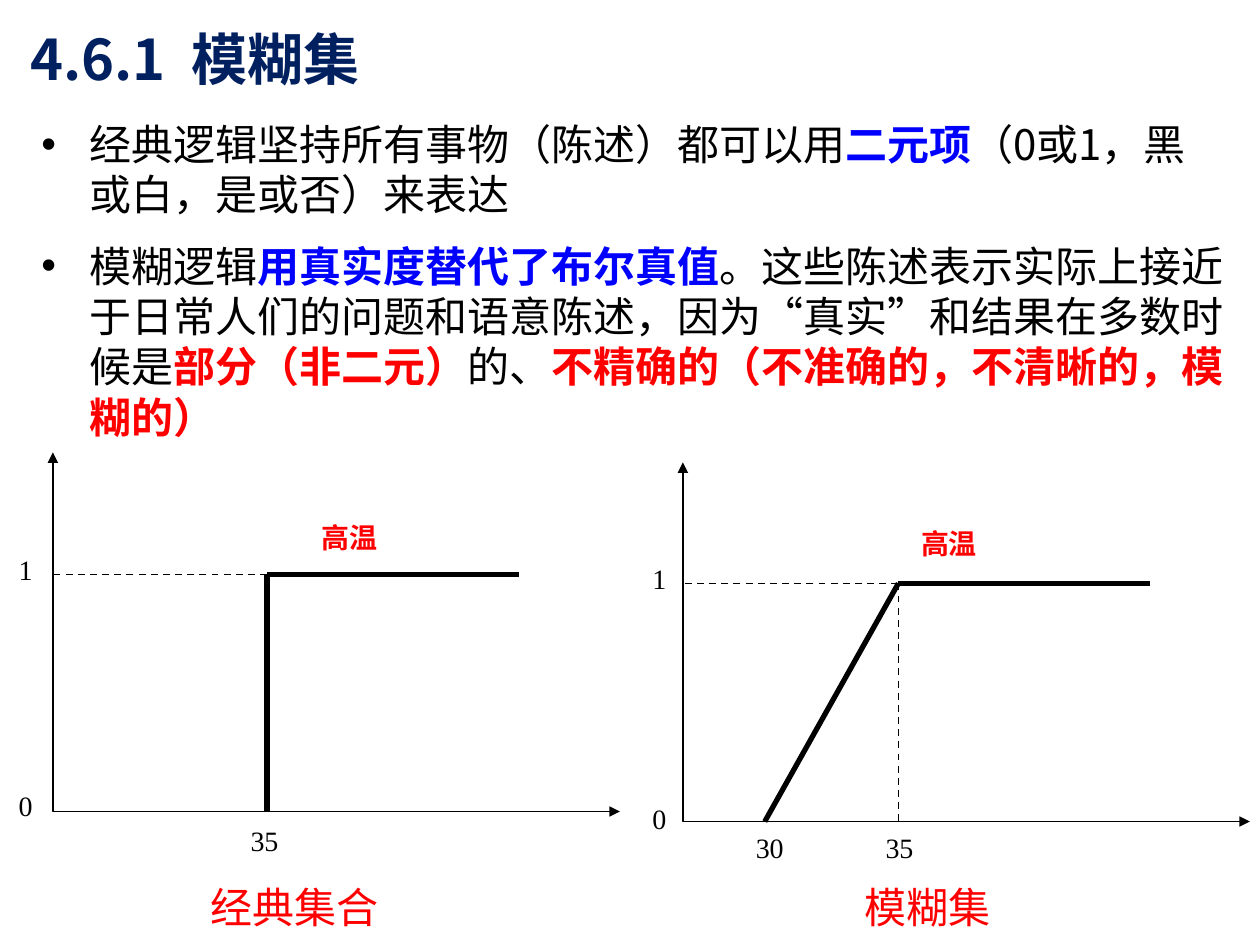
from lxml import etree
from pptx import Presentation
from pptx.dml.color import RGBColor
from pptx.enum.dml import MSO_LINE
from pptx.enum.shapes import MSO_CONNECTOR
from pptx.enum.text import MSO_ANCHOR, MSO_AUTO_SIZE
from pptx.oxml.ns import qn
from pptx.util import Inches, Pt

STRAIGHT = MSO_CONNECTOR.STRAIGHT
ELBOW = MSO_CONNECTOR.ELBOW
DASH = MSO_LINE.DASH
MIDDLE = MSO_ANCHOR.MIDDLE
TOP = MSO_ANCHOR.TOP
NONE = MSO_AUTO_SIZE.NONE
SANS = "Noto Sans CJK SC"
SERIF = "Times New Roman"
COLORS = {"black": "000000", "blue": "0000FF", "red": "FF0000", "navy": "002060"}


class Board:
    def __init__(self, slide):
        self.slide = slide

    def frame(self, x, y, w, h, wrap=False, inset=True, anchor=TOP):
        box = self.slide.shapes.add_textbox(Inches(x), Inches(y), Inches(w), Inches(h))
        frame = box.text_frame
        frame.word_wrap = wrap
        frame.auto_size = NONE
        frame.vertical_anchor = anchor
        if not inset:
            frame.margin_left = frame.margin_right = 0
            frame.margin_top = frame.margin_bottom = 0
        return frame

    def run(self, para, text, size, color="black", bold=False, face=SANS):
        run = para.add_run()
        run.text = text
        font = run.font
        font.name = face
        font.size = Pt(size)
        font.bold = bold
        font.color.rgb = RGBColor.from_string(COLORS[color])
        props = run._r.get_or_add_rPr()
        etree.SubElement(props, qn("a:ea")).set("typeface", face)

    def label(self, x, y, w, h, text, size, color="black", bold=False, face=SANS,
              inset=True, anchor=TOP):
        para = self.frame(x, y, w, h, inset=inset, anchor=anchor).paragraphs[0]
        if face == SANS:
            para.line_spacing = Pt(size * 1.2)
        self.run(para, text, size, color, bold, face)

    def bullets(self, x, y, w, h, items, size):
        frame = self.frame(x, y, w, h, wrap=True)
        for i, runs in enumerate(items):
            para = frame.add_paragraph() if i else frame.paragraphs[0]
            props = para._p.get_or_add_pPr()
            props.set("marL", str(Inches(0.38)))
            props.set("indent", str(-Inches(0.38)))
            etree.SubElement(props, qn("a:buFont")).set("typeface", "Arial")
            etree.SubElement(props, qn("a:buChar")).set("char", "•")
            para.line_spacing = Pt(size * 1.2)
            if i:
                para.space_before = Pt(12)
            for text, color in runs:
                self.run(para, text, size, color, color != "black")

    def line(self, x1, y1, x2, y2, width=1, dash=None, kind=STRAIGHT):
        line = self.slide.shapes.add_connector(
            kind, Inches(x1), Inches(y1), Inches(x2), Inches(y2))
        line.line.color.rgb = RGBColor.from_string(COLORS["black"])
        line.line.width = Pt(width)
        if dash:
            line.line.dash_style = dash
        props = line._element.spPr
        etree.SubElement(props, qn("a:effectLst"))
        return props

    def axes(self, x, y):
        props = self.line(x, y, x + 4.5, y + 2.85, kind=ELBOW)
        shape = props.find(qn("a:prstGeom"))
        guides = shape.find(qn("a:avLst"))
        if guides is None:
            guides = etree.SubElement(shape, qn("a:avLst"))
        guide = etree.SubElement(guides, qn("a:gd"))
        guide.set("name", "adj1")
        guide.set("fmla", "val 0")
        for end in ("a:headEnd", "a:tailEnd"):
            etree.SubElement(props.find(qn("a:ln")), qn(end)).set("type", "triangle")

    def plot(self, x, y, foot, knee, level, base):
        self.axes(x, y)
        self.line(knee, level, x, level, dash=DASH)
        if foot != knee:
            self.line(knee, level, knee, base, dash=DASH)
        self.line(foot, base, knee, level, 3)
        self.line(knee, level, knee + 2, level, 3)

    def tick(self, x, y, text):
        width = 0.31 if len(text) == 1 else 0.43
        self.label(x, y, width, 0.37, text, 16, face=SERIF)


def main():
    deck = Presentation()
    deck.slide_width, deck.slide_height = Inches(10), Inches(7.5)
    board = Board(deck.slides.add_slide(deck.slide_layouts[6]))

    board.label(0.14, 0.15, 9.45, 0.62, "4.6.1  模糊集", 32, "navy", True, anchor=MIDDLE)
    board.bullets(0.23, 0.89, 9.6, 2.69, [
        [("经典逻辑坚持所有事物（陈述）都可以用", "black"), ("二元项", "blue"),
         ("（0或1，黑或白，是或否）来表达", "black")],
        [("模糊逻辑", "black"), ("用真实度替代了布尔真值", "blue"),
         ("。这些陈述表示实际上接近于日常人们的问题和语意陈述，"
          "因为“真实”和结果在多数时候是", "black"),
         ("部分（非二元）", "red"), ("的、", "black"),
         ("不精确的（不准确的，不清晰的，模糊的）", "red")],
    ], 24)

    board.plot(0.42, 3.59, 2.12, 2.12, 4.56, 6.44)
    board.plot(5.42, 3.67, 6.07, 7.13, 4.63, 6.52)
    for x, y, text in [(0.05, 4.34, "1"), (0.05, 6.21, "0"), (1.89, 6.49, "35"),
                       (5.08, 4.41, "1"), (5.08, 6.31, "0"),
                       (5.9, 6.54, "30"), (6.93, 6.54, "35")]:
        board.tick(x, y, text)
    for x, y in [(2.55, 4.13), (7.31, 4.18)]:
        board.label(x, y, 0.45, 0.27, "高温", 16, "red", True, inset=False)
    for x, w, text in [(1.57, 1.55, "经典集合"), (6.76, 1.21, "模糊集")]:
        board.label(x, 6.95, w, 0.5, text, 24, "red")

    deck.save("out.pptx")


if __name__ == "__main__":
    main()
